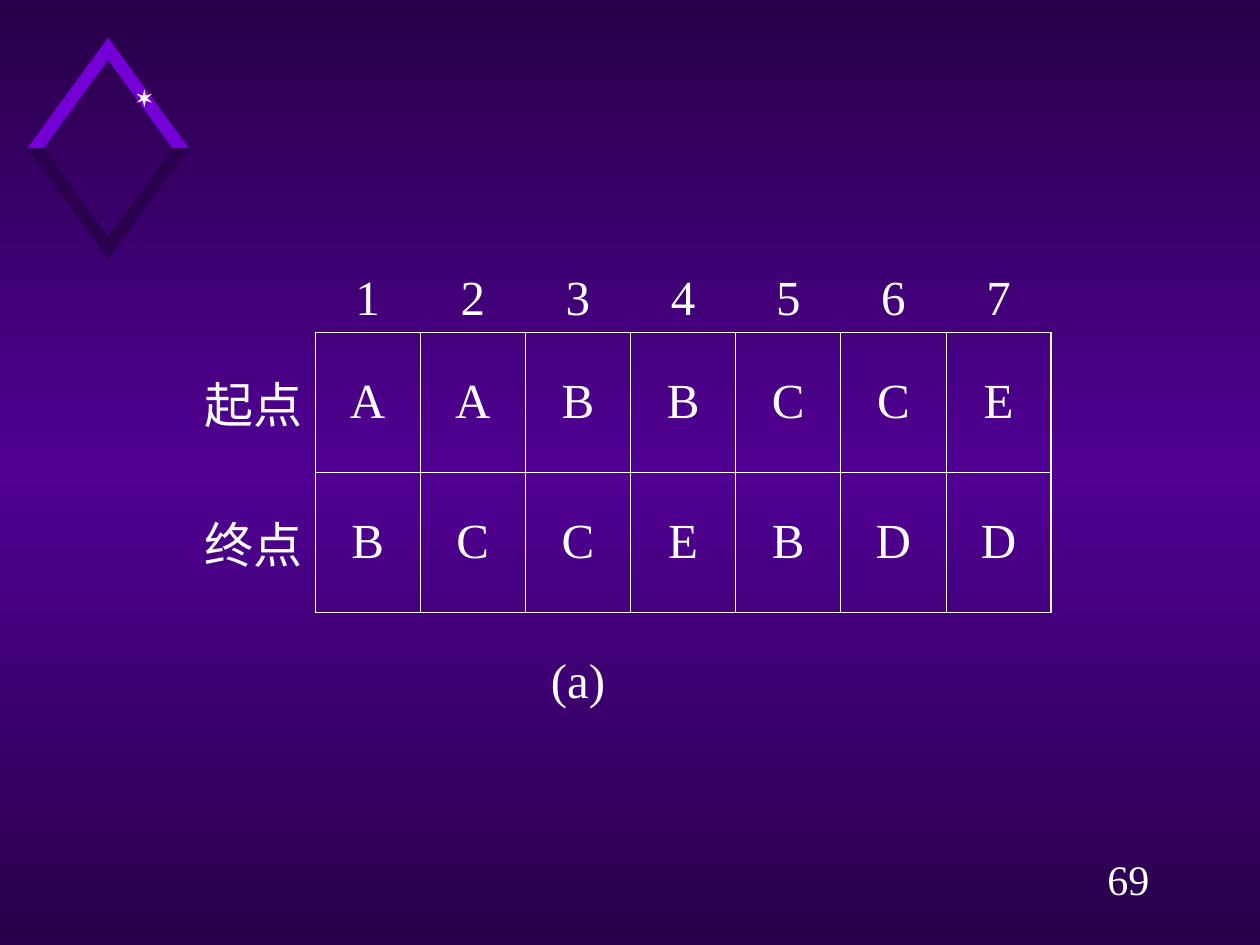
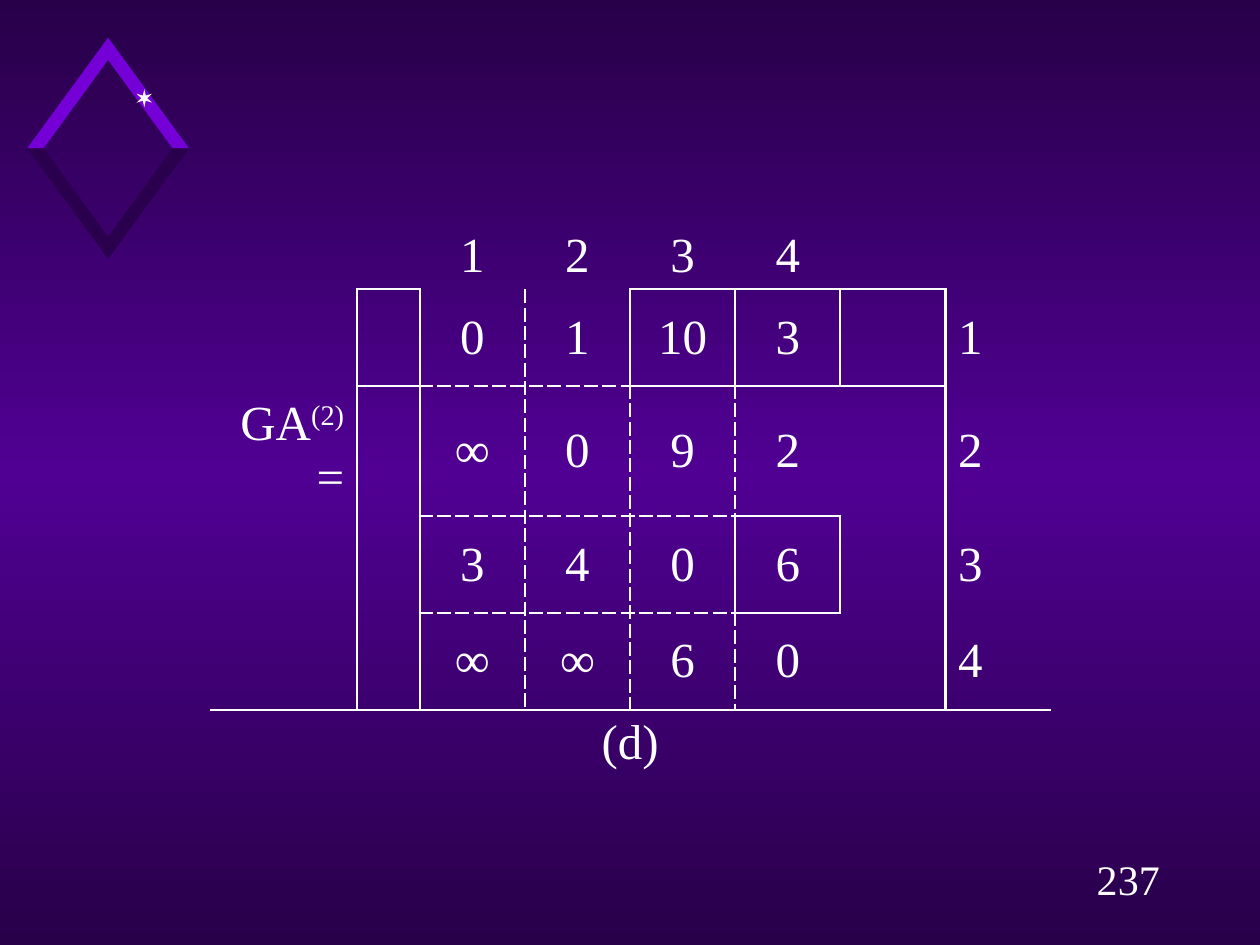
import copy
import math

from lxml import etree
from pptx import Presentation
from pptx.dml.color import RGBColor
from pptx.enum import text
from pptx.oxml import ns
from pptx.util import Cm, Pt

# Shared look
FONT = "Times New Roman"
WHITE = RGBColor(0xFF, 0xFF, 0xFF)
NIGHT = RGBColor(0x28, 0x00, 0x49)
VIOLET = RGBColor(0x50, 0x00, 0x93)
BRIGHT = RGBColor(0x75, 0x00, 0xD7)
SHADE = RGBColor(0x2A, 0x00, 0x4E)
SPARK = RGBColor(0xF9, 0xF9, 0xF9)
PLAIN_TABLE = "{2D5ABB26-0587-4C30-8999-92F81FD0307C}"

LEFT, CENTER, RIGHT = text.PP_ALIGN.LEFT, text.PP_ALIGN.CENTER, text.PP_ALIGN.RIGHT
TOP, MIDDLE, BOTTOM = (text.MSO_ANCHOR.TOP, text.MSO_ANCHOR.MIDDLE,
                       text.MSO_ANCHOR.BOTTOM)

# Each side of a cell: the opposite side and the step to the neighbour
NEIGHBOURS = {"L": ("R", 0, -1), "R": ("L", 0, 1),
              "T": ("B", -1, 0), "B": ("T", 1, 0)}


def paint_background(master):
    """Vertical gradient, dark at both ends, for every slide."""
    fill = master.background.fill
    fill.gradient()
    fill.gradient_angle = 270
    stop_list = master.element.find(".//" + ns.qn("a:gsLst"))
    stop_list.insert(1, copy.deepcopy(stop_list[0]))
    for stop, color, place in zip(fill.gradient_stops, (NIGHT, VIOLET, NIGHT), (0, 0.5, 1)):
        stop.color.rgb = color
        stop.position = place


def add_outline(slide, points, color):
    """Closed polygon through points given in cm."""
    start, *others = [(Cm(x), Cm(y)) for x, y in points]
    builder = slide.shapes.build_freeform(*start)
    builder.add_line_segments(others, close=True)
    outline = builder.convert_to_shape()
    outline.shadow.inherit = False
    outline.fill.solid()
    outline.fill.fore_color.rgb = color
    outline.line.fill.background()


def add_diamond(slide, center_x=2.18, center_y=2.99, half_width=1.63, half_height=2.23):
    # Bright upper bands and their dark reflection
    for vertical, color in ((-1, BRIGHT), (1, SHADE)):
        for side in (1, -1):
            corners = [(0, half_height), (0, half_height - 0.45),
                       (half_width - 0.33, 0), (half_width, 0)]
            add_outline(slide, [(center_x + side * x, center_y + vertical * y)
                                for x, y in corners], color)
    # Six-pointed sparkle on the right band
    spark_x, spark_y = center_x + 0.73, center_y - 1.01
    points = []
    for step in range(12):
        radius = 0.06 if step % 2 else 0.18
        angle = math.radians(30 * step - 90)
        points.append((spark_x + radius * math.cos(angle),
                       spark_y + radius * math.sin(angle)))
    add_outline(slide, points, SPARK)


def add_run(paragraph, words, size, baseline=0):
    run = paragraph.add_run()
    run.text = words
    run.font.size = Pt(size)
    run.font.name = FONT
    run.font.color.rgb = WHITE
    if baseline:
        run._r.get_or_add_rPr().set("baseline", str(baseline * 1000))


def add_page_number(slide, number):
    box = slide.shapes.add_textbox(Cm(21.79), Cm(17.09), Cm(1.91), Cm(1.27))
    box.text_frame.word_wrap = True
    paragraph = box.text_frame.paragraphs[0]
    paragraph.alignment = CENTER
    add_run(paragraph, str(number), 24)


def start_slide(deck, number):
    slide = deck.slides.add_slide(deck.slide_layouts[6])
    add_diamond(slide)
    add_page_number(slide, number)
    return slide


def add_grid(slide, left, top, widths, heights):
    """Transparent table without style, sized in cm."""
    frame = slide.shapes.add_table(len(heights), len(widths), Cm(left), Cm(top),
                                   Cm(sum(widths)), Cm(sum(heights)))
    table = frame.table
    table.first_row = table.horz_banding = False
    frame.element.find(".//" + ns.qn("a:tableStyleId")).text = PLAIN_TABLE
    for column, width in zip(table.columns, widths):
        column.width = Cm(width)
    for row, height in zip(table.rows, heights):
        row.height = Cm(height)
    return table


def write_cell(cell, words, align=CENTER, anchor=MIDDLE):
    """Words are a string or a list of (string, baseline) runs."""
    cell.vertical_anchor = anchor
    paragraph = cell.text_frame.paragraphs[0]
    paragraph.alignment = align
    for part, baseline in [(words, 0)] if isinstance(words, str) else words:
        add_run(paragraph, part, 28, baseline)


def rule_table(table, rules):
    """Draw rules (side, rows, columns, points, dash); later ones win."""
    row_count, column_count = len(table.rows), len(table.columns)
    borders = {(r, c): {} for r in range(row_count) for c in range(column_count)}
    for side, rows, columns, points, dash in rules:
        opposite, down, across = NEIGHBOURS[side]
        for r in rows:
            for c in columns:
                borders[r, c][side] = points, dash
                if (r + down, c + across) in borders:
                    borders[r + down, c + across][opposite] = points, dash
    for (r, c), sides in borders.items():
        cell = table.cell(r, c)
        properties = cell._tc.get_or_add_tcPr()
        for side in "LRTB":
            if side not in sides:
                continue
            points, dash = sides[side]
            line = etree.SubElement(properties, ns.qn("a:ln" + side), w=str(Pt(points)))
            fill = etree.SubElement(line, ns.qn("a:solidFill"))
            etree.SubElement(fill, ns.qn("a:srgbClr"), val=str(WHITE))
            etree.SubElement(line, ns.qn("a:prstDash"), val=dash)
        cell.fill.background()


def add_edge_table(slide, left=3.17, top=3.88):
    """Start and end vertex of each numbered edge."""
    table = add_grid(slide, left, top, [3.18] + [2.12] * 7, [2.82] * 4)
    for edge, (start, end) in enumerate(zip("AABBCCE", "BCCEBDD"), 1):
        write_cell(table.cell(0, edge), str(edge), anchor=BOTTOM)
        write_cell(table.cell(1, edge), start)
        write_cell(table.cell(2, edge), end)
    for row, label in ((1, "起点"), (2, "终点")):
        write_cell(table.cell(row, 0), label, RIGHT)
    write_cell(table.cell(3, 3), "(a)")
    rule_table(table, [
        ("R", (1, 2), range(7), 0.45, "solid"),
        ("B", range(3), range(1, 8), 0.45, "solid"),
        ("R", (1, 2), (7,), 1.08, "solid"),
    ])


def add_distance_matrix(slide, left=4.23, top=3.88):
    """Bracketed matrix with numbered rows and columns."""
    table = add_grid(slide, left, top, [2.96, 1.27] + [2.12] * 6,
                     [1.95, 1.95, 2.62, 1.95, 1.95, 1.95])
    distances = (("0", "1", "10", "3"), ("∞", "0", "9", "2"),
                 ("3", "4", "0", "6"), ("∞", "∞", "6", "0"))
    for vertex, values in enumerate(distances, 1):
        write_cell(table.cell(0, vertex + 1), str(vertex), anchor=BOTTOM)
        write_cell(table.cell(vertex, 7), str(vertex), LEFT)
        for column, value in enumerate(values, 2):
            write_cell(table.cell(vertex, column), value)
    write_cell(table.cell(2, 0), [("GA", 0), ("(2)", 30), ("=", 0)], RIGHT)
    table.cell(5, 0).merge(table.cell(5, 7))
    write_cell(table.cell(5, 0), "(d)", anchor=TOP)

    body = range(1, 5)
    rules = [
        # Dashed lines through the pivot rows and columns
        ("R", body, (2, 3), "dash"),
        ("B", (1,), (2, 3), "dash"),
        ("B", (2,), (2, 3, 4), "dash"),
        # Brackets and base line
        ("R", body, (0, 6), "solid"),
        ("T", (1,), (1, 6), "solid"),
        ("B", (4,), range(8), "solid"),
    ]
    # Boxes around the changed distances
    for row, column in ((1, 4), (1, 5), (3, 5)):
        rules += [(side, (row,), (column,), "solid") for side in NEIGHBOURS]
    rule_table(table, [(side, rows, columns, 1.47, dash)
                       for side, rows, columns, dash in rules])


def main():
    deck = Presentation()
    deck.slide_width, deck.slide_height = Cm(25.4), Cm(19.05)
    paint_background(deck.slide_master)
    add_edge_table(start_slide(deck, 69))
    add_distance_matrix(start_slide(deck, 237))
    deck.save("out.pptx")


if __name__ == "__main__":
    main()
